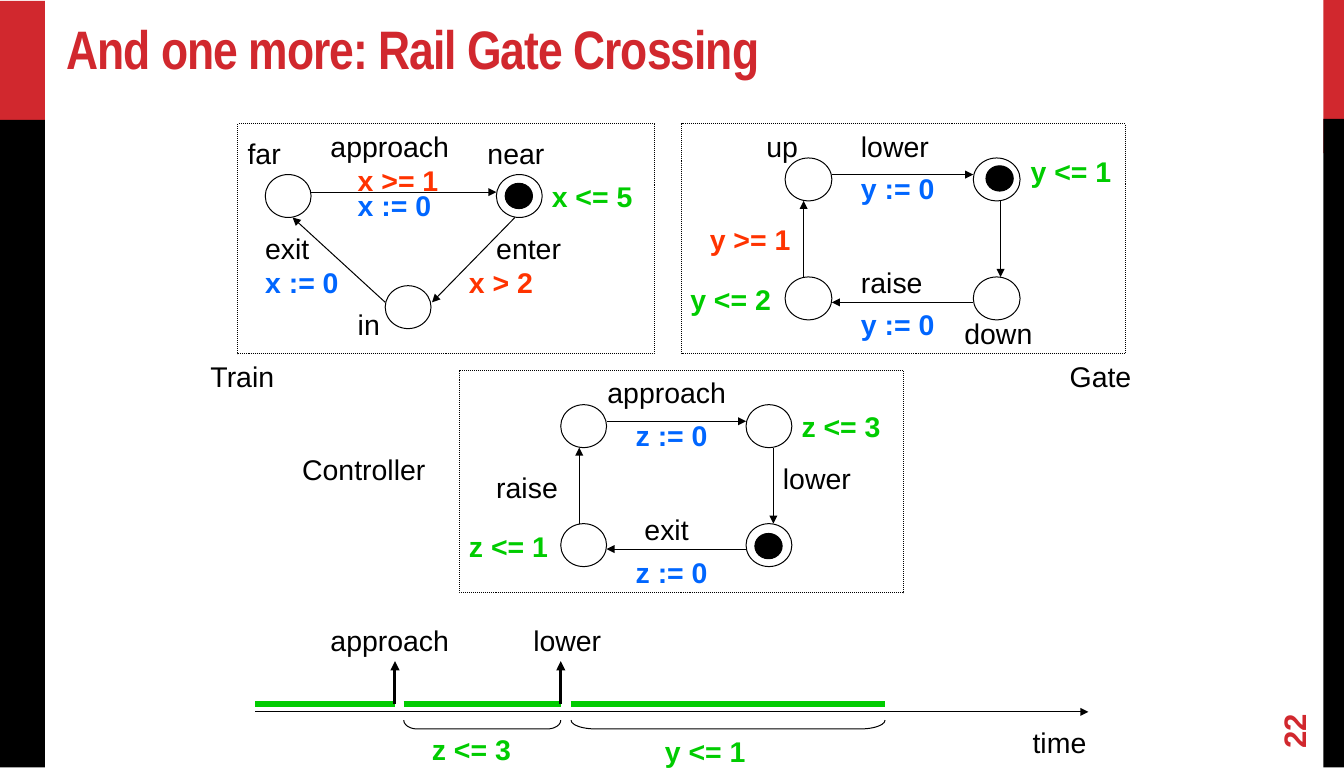
from lxml import etree
from pptx import Presentation
from pptx.dml.color import RGBColor
from pptx.enum import dml, shapes, text
from pptx.oxml import ns
from pptx.util import Inches, Pt

COLORS = {"red": "D1282E", "black": "000000", "event": "000000",
          "guard": "FF3300", "reset": "0066FF", "invariant": "00CC00"}
# Label widths, fitted to the words
WIDTHS = {"Gate": 0.84, "Controller": 1.47, "Train": 0.86, "exit": 0.66,
          "far": 0.55, "near": 0.79, "in": 0.43, "enter": 0.87, "lower": 0.9,
          "down": 0.9, "up": 0.53, "raise": 0.84, "approach": 1.43,
          "time": 0.76, "x > 2": 0.86, "x := 0": 0.96, "y := 0": 0.96,
          "z := 0": 0.95, "x <= 5": 1.04, "x >= 1": 1.04, "y <= 1": 1.04,
          "y <= 2": 1.04, "y >= 1": 1.04, "z <= 3": 1.02, "z <= 1": 1.02}
STATE_W, STATE_H = 0.47, 0.44


def rgb(name):
    return RGBColor.from_string(COLORS[name])


def style_text(frame, size, color, bold, font="Arial"):
    run = frame.paragraphs[0].runs[0]
    run.font.size, run.font.name, run.font.bold = Pt(size), font, bold
    run.font.color.rgb = rgb(color)
    return run


def set_insets(frame, side, end):
    frame.margin_left = frame.margin_right = Inches(side)
    frame.margin_top = frame.margin_bottom = Inches(end)


def add_outline(slide, kind, x, y, w, h, fill=None, line="black"):
    outline = slide.shapes.add_shape(kind, Inches(x), Inches(y), Inches(w), Inches(h))
    outline.shadow.inherit = False
    if fill:
        outline.fill.solid()
        outline.fill.fore_color.rgb = rgb(fill)
    else:
        outline.fill.background()
    if line:
        outline.line.color.rgb = rgb(line)
        outline.line.width = Pt(0.75)
    else:
        outline.line.fill.background()
    return outline


def add_line(slide, x1, y1, x2, y2, color="black", width=0.75, arrow=True):
    line = slide.shapes.add_connector(shapes.MSO_CONNECTOR.STRAIGHT,
                                      Inches(x1), Inches(y1), Inches(x2), Inches(y2))
    line.line.color.rgb = rgb(color)
    line.line.width = Pt(width)
    if arrow:
        etree.SubElement(line.line._get_or_add_ln(), ns.qn("a:tailEnd"), type="triangle")
    etree.SubElement(line._element.spPr, ns.qn("a:effectLst"))


def add_labels(slide, x, y, labels):
    for words, dx, dy, kind in labels:
        label = slide.shapes.add_textbox(Inches(x + dx), Inches(y + dy),
                                         Inches(WIDTHS[words]), Inches(0.45))
        frame = label.text_frame
        frame.text = words
        frame.word_wrap = False
        frame.auto_size = text.MSO_AUTO_SIZE.SHAPE_TO_FIT_TEXT
        style_text(frame, 21, kind, kind != "event")


def automaton(slide, box, states, token, arrows, labels, state_w=STATE_W):
    """A dotted frame with states, transitions, labels and the current state."""
    x, y, w, h = box
    ellipse = shapes.MSO_SHAPE.OVAL
    frame = add_outline(slide, shapes.MSO_SHAPE.RECTANGLE, x, y, w, h)
    frame.line.dash_style = dml.MSO_LINE.ROUND_DOT
    for dx, dy in states:
        add_outline(slide, ellipse, x + dx, y + dy, state_w, STATE_H)
    for x1, y1, x2, y2 in arrows:
        add_line(slide, x + x1, y + y1, x + x2, y + y2)
    add_outline(slide, ellipse, x + token[0], y + token[1], 0.28, 0.26, fill="black")
    add_labels(slide, x, y, labels)


def square_automaton(slide, box, left, right, token, labels, state_w=STATE_W):
    """Four states passed clockwise."""
    top, bottom = 0.35, 1.57
    states = [(dx, dy) for dx in (left, right) for dy in (top, bottom)]
    arrows = [
        (left + state_w, top + 0.17, right, top + 0.17),
        (right + 0.28, top + STATE_H, right + 0.28, bottom),
        (right, bottom + 0.26, left + state_w, bottom + 0.26),
        (left + 0.19, bottom, left + 0.19, top + STATE_H),
    ]
    automaton(slide, box, states, token, arrows, labels, state_w)


def timeline(slide, box):
    x, y, w, h = box
    axis = y + h
    # Time spans
    for start, end in ((0, 1.43), (1.52, 3.13), (3.23, 6.45)):
        add_line(slide, x + start, axis - 0.08, x + end, axis - 0.08,
                 "invariant", 4.5, arrow=False)
    # Events and time axis
    for event in (1.43, 3.13):
        add_line(slide, x + event, axis - 0.08, x + event, axis - 0.52, width=2.25)
    add_line(slide, x, axis, x + w, axis)
    # Braces under the spans that have a limit
    for middle, length, curve in ((2.32, 1.61, 1.54), (4.84, 3.22, 2.83)):
        bracket = add_outline(slide, shapes.MSO_SHAPE.LEFT_BRACKET,
                              x + middle - 0.04, axis + 0.13 - length / 2, 0.09, length)
        bracket.rotation = 270
        bracket.adjustments[0] = curve
    add_labels(slide, x, y, [
        ("approach", 0.67, 0, "event"), ("lower", 2.75, 0, "event"),
        ("time", 7.87, 1.05, "event"), ("z <= 3", 1.71, 1.12, "invariant"),
        ("y <= 1", 4.1, 1.14, "invariant")])


def side_bar(slide, box):
    x, y, w, h = box
    for top, height, color in ((0, 1.57, "red"), (1.22, h - 1.22, "black")):
        add_outline(slide, shapes.MSO_SHAPE.RECTANGLE, x, y + top, w, height,
                    fill=color, line=None)


def heading(slide, box):
    title = slide.shapes.title
    title.left, title.top, title.width, title.height = map(Inches, box)
    frame = title.text_frame
    frame.text = "And one more: Rail Gate Crossing"
    frame.auto_size = text.MSO_AUTO_SIZE.NONE
    frame.vertical_anchor = text.MSO_ANCHOR.BOTTOM
    set_insets(frame, 0.11, 0.06)
    frame.paragraphs[0].alignment = text.PP_ALIGN.LEFT
    run = style_text(frame, 40, "red", True, "Arial Narrow")
    run._r.get_or_add_rPr().set("spc", "-70")


def page_number(slide, box):
    number = slide.shapes.add_textbox(*map(Inches, box))
    number.rotation = 270
    frame = number.text_frame
    frame.text = "22"
    frame.word_wrap = True
    frame.vertical_anchor = text.MSO_ANCHOR.MIDDLE
    set_insets(frame, 0.11, 0.06)
    style_text(frame, 23, "red", True)


def main():
    prs = Presentation()
    prs.slide_width, prs.slide_height = Inches(441 / 32), Inches(63 / 8)
    slide = prs.slides.add_slide(prs.slide_layouts[5])
    side_bar(slide, (13.57, 0, 0.21, 7.87))
    side_bar(slide, (0, 0.01, 0.46, 7.86))
    heading(slide, (0.57, 0.18, 12.86, 0.7))
    page_number(slide, (12.86, 7.21, 0.81, 0.34))

    # Train
    automaton(
        slide, (2.44, 1.27, 4.27, 2.36),
        states=[(0.28, 0.52), (1.51, 1.66), (2.65, 0.52)], token=(2.74, 0.61),
        arrows=[(0.75, 0.7, 2.65, 0.7), (2.84, 0.96, 1.99, 1.83),
                (1.51, 1.83, 0.56, 0.96)],
        labels=[("far", 0, 0.08, "event"), ("near", 2.46, 0.08, "event"),
                ("in", 1.13, 1.83, "event"), ("approach", 0.85, 0, "event"),
                ("exit", 0.18, 1.05, "event"), ("enter", 2.55, 1.05, "event"),
                ("x >= 1", 1.13, 0.35, "guard"), ("x > 2", 2.27, 1.4, "guard"),
                ("x := 0", 1.13, 0.61, "reset"), ("x := 0", 0.18, 1.4, "reset"),
                ("x <= 5", 3.12, 0.52, "invariant"), ("Train", -0.38, 2.36, "event")])

    # Gate
    square_automaton(
        slide, (6.99, 1.27, 4.55, 2.36), left=1.06, right=2.99, token=(3.12, 0.43),
        state_w=0.48,
        labels=[("up", 0.77, 0, "event"), ("down", 2.8, 1.92, "event"),
                ("lower", 1.74, 0, "event"), ("raise", 1.74, 1.4, "event"),
                ("y := 0", 1.74, 0.43, "reset"), ("y := 0", 1.74, 1.83, "reset"),
                ("y >= 1", 0.19, 0.96, "guard"), ("y <= 1", 3.48, 0.26, "invariant"),
                ("y <= 2", -0.01, 1.57, "invariant"), ("Gate", 3.88, 2.36, "event")])

    # Controller
    square_automaton(
        slide, (4.71, 3.8, 4.55, 2.28), left=1.04, right=2.94, token=(3.03, 1.67),
        labels=[("approach", 1.42, 0, "event"), ("lower", 3.22, 0.88, "event"),
                ("exit", 1.8, 1.4, "event"), ("raise", 0.28, 0.97, "event"),
                ("z := 0", 1.71, 0.44, "reset"), ("z := 0", 1.71, 1.84, "reset"),
                ("z <= 3", 3.41, 0.35, "invariant"), ("z <= 1", 0, 1.58, "invariant"),
                ("Controller", -1.71, 0.79, "event")])

    timeline(slide, (2.62, 6.34, 8.54, 0.96))
    prs.save("out.pptx")


if __name__ == "__main__":
    main()
